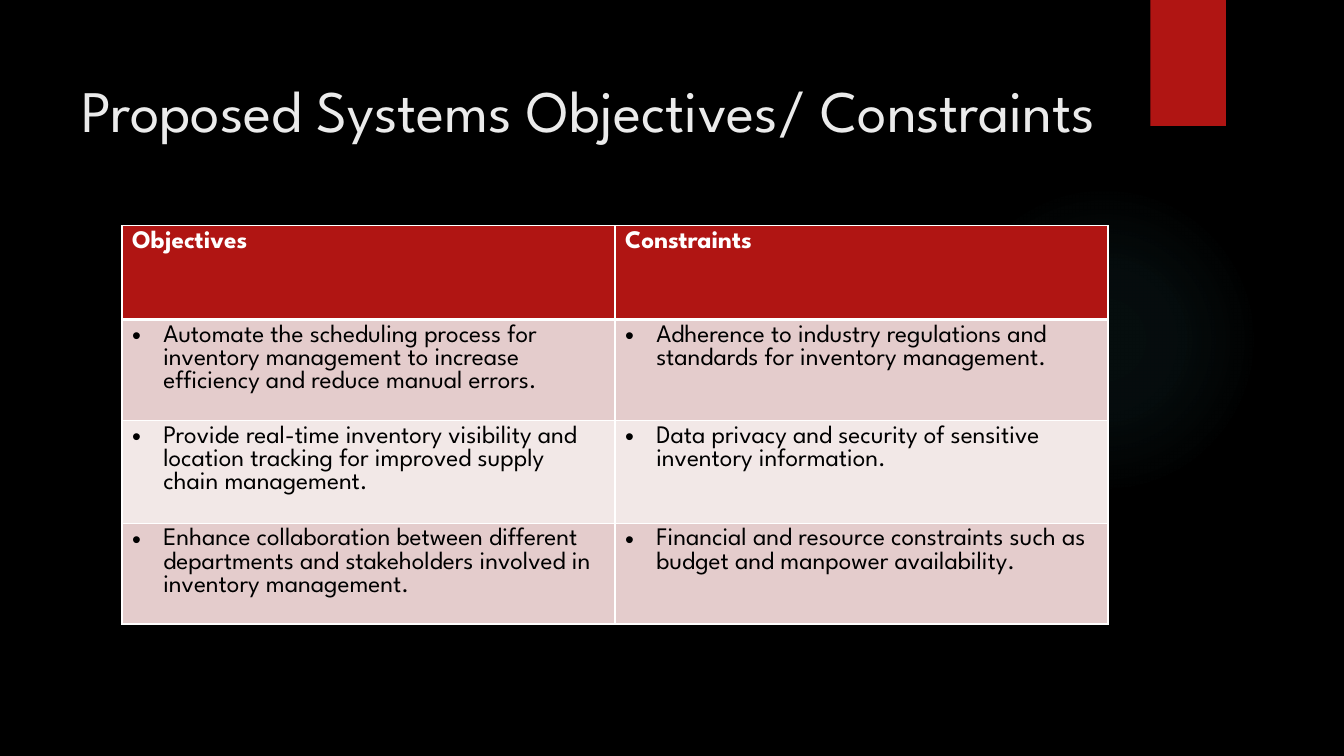
"""Build the slide of proposed system objectives and constraints."""
import pptx
import pptx.dml.color
import pptx.enum.shapes
import pptx.enum.text
import pptx.oxml
import pptx.oxml.ns
import pptx.util

Inches, Pt = pptx.util.Inches, pptx.util.Pt
RGBColor = pptx.dml.color.RGBColor

TITLE = "Proposed Systems Objectives/ Constraints"
ROWS = [
    ("Objectives", "Constraints"),
    ("Automate the scheduling process for inventory management to increase efficiency and reduce manual errors.",
     "Adherence to industry regulations and standards for inventory management."),
    ("Provide real-time inventory visibility and location tracking for improved supply chain management.",
     "Data privacy and security of sensitive inventory information."),
    ("Enhance collaboration between different departments and stakeholders involved in inventory management.",
     "Financial and resource constraints such as budget and manpower availability."),
]
ROW_HEIGHTS = [0.93, 0.93, 1.02, 0.93]
COLUMN_WIDTH = 4.89
GLOW_STOPS = [(0, 7), (36, 6), (69, 0)]

FONT = "League Spartan"
BLACK = RGBColor(0x00, 0x00, 0x00)
WHITE = RGBColor(0xFF, 0xFF, 0xFF)
OFF_WHITE = RGBColor(0xEB, 0xEB, 0xEB)
RED = RGBColor(0xB0, 0x15, 0x13)
PINK = RGBColor(0xE4, 0xCC, 0xCC)
PALE_PINK = RGBColor(0xF2, 0xE8, 0xE7)
TEAL = RGBColor(0x50, 0xB9, 0xC1)
ROW_FILLS = [RED, PINK, PALE_PINK, PINK]
NS = pptx.oxml.ns.nsdecls("a")


def add_plain_shape(slide, kind, left, top, width, height):
    shape = slide.shapes.add_shape(kind, Inches(left), Inches(top), Inches(width), Inches(height))
    shape.shadow.inherit = False
    shape.line.fill.background()
    return shape


def add_glow(slide):
    glow = add_plain_shape(slide, pptx.enum.shapes.MSO_SHAPE.OVAL, 9.41, 1.83, 3.08, 3.08)
    stops = "".join(
        f'<a:gs pos="{pos * 1000}"><a:srgbClr val="{TEAL}"><a:alpha val="{alpha * 1000}"/></a:srgbClr></a:gs>'
        for pos, alpha in GLOW_STOPS)
    gradient = pptx.oxml.parse_xml(
        f'<a:gradFill {NS}><a:gsLst>{stops}</a:gsLst><a:path path="circle">'
        '<a:fillToRect l="50000" t="50000" r="50000" b="50000"/></a:path></a:gradFill>')
    glow.element.spPr.find(pptx.oxml.ns.qn("a:prstGeom")).addnext(gradient)


def style_text(paragraph, size, color, bold=False):
    for run in paragraph.runs:
        run.font.name = FONT
        run.font.size = Pt(size)
        run.font.color.rgb = color
        run.font.bold = bold


def add_title(slide):
    title = slide.shapes.add_textbox(Inches(0.71), Inches(0.5), Inches(10.29), Inches(1.53))
    frame = title.text_frame
    frame.word_wrap = True
    frame.vertical_anchor = pptx.enum.text.MSO_ANCHOR.TOP
    frame.margin_top = Inches(0.23)
    frame.text = TITLE
    style_text(frame.paragraphs[0], 42, OFF_WHITE)


def set_borders(cell, top, bottom):
    properties = cell._tc.get_or_add_tcPr()
    for side, width in (("L", 1), ("R", 1), ("T", top), ("B", bottom)):
        properties.append(pptx.oxml.parse_xml(
            f'<a:ln{side} {NS} w="{Pt(width)}"><a:solidFill><a:srgbClr val="{WHITE}"/></a:solidFill></a:ln{side}>'))


def add_bullet(paragraph):
    properties = paragraph._p.get_or_add_pPr()
    properties.set("marL", str(Inches(0.31)))
    properties.set("indent", str(-Inches(0.31)))
    properties.append(pptx.oxml.parse_xml(f'<a:buFont {NS} typeface="Arial"/>'))
    properties.append(pptx.oxml.parse_xml(f'<a:buChar {NS} char="•"/>'))


def add_goals_table(slide):
    columns = len(ROWS[0])
    goals = slide.shapes.add_table(
        len(ROWS), columns, Inches(1.21), Inches(2.24),
        Inches(COLUMN_WIDTH * columns), Inches(sum(ROW_HEIGHTS))).table
    for column in goals.columns:
        column.width = Inches(COLUMN_WIDTH)
    for r, entries in enumerate(ROWS):
        goals.rows[r].height = Inches(ROW_HEIGHTS[r])
        header = r == 0
        for c, entry in enumerate(entries):
            cell = goals.cell(r, c)
            set_borders(cell, top=3 if r == 1 else 1, bottom=3 if header else 1)
            cell.fill.solid()
            cell.fill.fore_color.rgb = ROW_FILLS[r]
            cell.text_frame.text = entry
            paragraph = cell.text_frame.paragraphs[0]
            style_text(paragraph, 18, WHITE if header else BLACK, bold=header)
            if not header:
                add_bullet(paragraph)


def main():
    deck = pptx.Presentation()
    deck.slide_width, deck.slide_height = Inches(13.33), Inches(7.5)
    slide = deck.slides.add_slide(deck.slide_layouts[6])
    slide.background.fill.solid()
    slide.background.fill.fore_color.rgb = BLACK
    add_glow(slide)
    ribbon = add_plain_shape(slide, pptx.enum.shapes.MSO_SHAPE.RECTANGLE, 11.41, 0, 0.75, 1.25)
    ribbon.fill.solid()
    ribbon.fill.fore_color.rgb = RED
    add_title(slide)
    add_goals_table(slide)
    deck.save("out.pptx")


if __name__ == "__main__":
    main()
